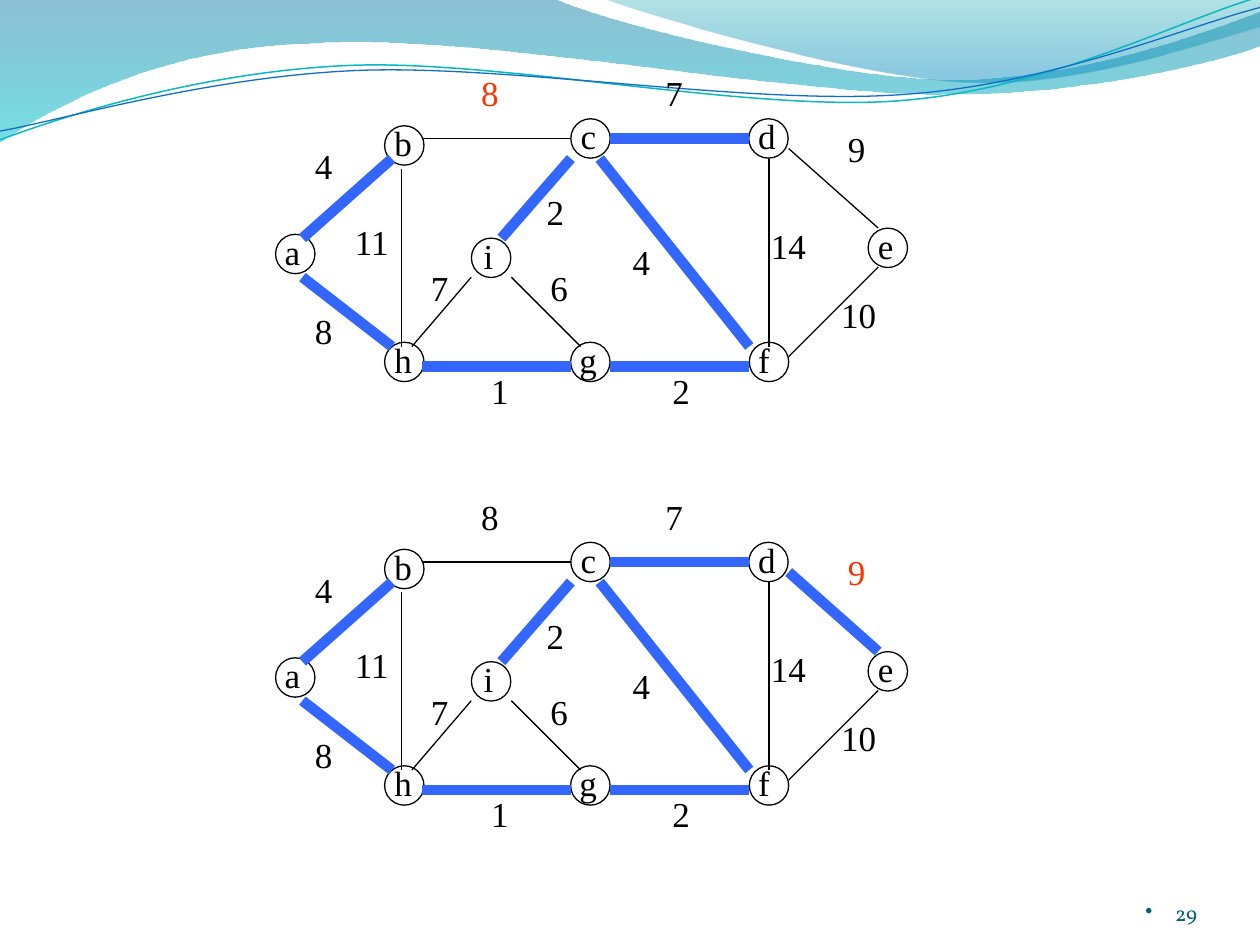
from math import cos, radians, sin

from pptx import Presentation
from pptx.dml.color import RGBColor
from pptx.enum.shapes import MSO_CONNECTOR, MSO_SHAPE
from pptx.enum.text import MSO_ANCHOR, MSO_AUTO_SIZE, PP_ALIGN
from pptx.oxml.xmlchemy import OxmlElement
from pptx.util import Pt

STRAIGHT, OVAL = MSO_CONNECTOR.STRAIGHT, MSO_SHAPE.OVAL
LEFT, RIGHT = PP_ALIGN.LEFT, PP_ALIGN.RIGHT
TOP, BOTTOM = MSO_ANCHOR.TOP, MSO_ANCHOR.BOTTOM
GROW = MSO_AUTO_SIZE.SHAPE_TO_FIT_TEXT

BLACK = RGBColor(0x00, 0x00, 0x00)
BLUE = RGBColor(0x33, 0x66, 0xFF)
RED = RGBColor(0xFF, 0x33, 0x00)
FOOTER = RGBColor(0x04, 0x5D, 0x75)
WAVE_TEAL = RGBColor(0x0A, 0xB8, 0xBF)
WAVE_BLUE = RGBColor(0x0F, 0x6F, 0xC6)
DEEP_BLUE = RGBColor(0x00, 0x74, 0xA1)
CYAN = RGBColor(0x00, 0xC6, 0xCF)
TEAL = RGBColor(0x00, 0xA1, 0xA9)
SKY = RGBColor(0x00, 0x8B, 0xBF)

BANDS = [
    ([(0, 0), (316.8, -0.7), (342.7, 12.2, 478.1, 45.4, 545.8, 45.4),
      (614.2, 45.4, 689.8, 18.7, 720, 6.5), (720.7, 25.9),
      (707.8, 31.7, 626.4, 54.7, 537.1, 54), (447.8, 54, 275, 20.2, 185, 24.5),
      (92.9, 25.9, 33.1, 59.8, -0.7, 81.4)],
     [(0, DEEP_BLUE, 45), (1, CYAN, 55)]),
    ([(344.9, -0.7), (366.5, 7.9, 491, 44.6, 553.7, 46.8),
      (616.3, 49.7, 691.9, 23, 720, 15.1), (720, 0)],
     [(0, TEAL, 30), (0.8, SKY, 45)]),
]
WAVE_TILT = -2.7
WAVES = [
    ([(0, 79.9), (34.6, 67, 113.8, 41, 199.4, 37.4),
      (284.4, 33.8, 427, 64.1, 513.4, 57.6),
      (599.8, 51.1, 675.4, 10.8, 718.6, -1.4)], (359.3, 41.4), WAVE_TEAL, 0.85),
    ([(0, 74.9), (33.8, 69.1, 118.1, 43.9, 203.8, 40.3),
      (290.2, 36.7, 429.8, 60.5, 516.2, 54),
      (601.9, 48.2, 677.5, 15.1, 720, 4.3)], (359.6, 42.5), WAVE_BLUE, 0.75),
]

NODE_SIZE = 22.5
NODES = {
    "a": (2.5, 96.9, 0.5, 23), "b": (64.8, 34.9, 63.2, 24.4),
    "h": (64.8, 158.6, 63.2, 24.4), "c": (171.2, 30.9, 169.7, 23),
    "d": (272.9, 30.9, 271.2, 24.4), "e": (341.1, 93.4, 339.6, 23),
    "f": (273.2, 158.6, 271.2, 21), "g": (171.1, 158.6, 169, 24.4),
    "i": (114.4, 99.1, 114.3, 20.2),
}
EDGES = {
    "ab": (17.8, 99.1, 68.9, 53.7, "4", 17.8, 42.2),
    "ah": (17.8, 121.4, 68.9, 161, "8", 17.8, 136.5),
    "bh": (74.6, 59.3, 74.6, 161, "11", 40.8, 85.4),
    "bc": (86.2, 42.1, 171.2, 42.1, "8", 112.8, 0.4),
    "hg": (86.2, 172.5, 171.2, 172.5, "1", 118.6, 170.4),
    "gf": (193.5, 172.5, 273.2, 172.5, "2", 222.1, 170.4),
    "cf": (187.7, 53.6, 273.2, 161, "4", 199.4, 96.9),
    "cd": (193.5, 42.1, 273.2, 42.1, "7", 218.1, 0.4),
    "df": (284.4, 53.6, 284.4, 161, "14", 278.5, 87.6),
    "de": (295.7, 47.9, 346.8, 93.3, "9", 322.4, 32.1),
    "fe": (295.7, 166.8, 346.8, 115.6, "10", 318.6, 127.1),
    "ig": (137.2, 121.4, 176.8, 161, "6", 152.4, 112),
    "hi": (80.4, 161, 114.3, 121.4, "7", 84.2, 112),
    "ic": (131.5, 99.1, 171.2, 53.6, "2", 150.3, 68.5),
}
TREE = {"ab", "ah", "hg", "gf", "cf", "cd", "ic"}


def add_text(shapes, text, left, top, width, height, font="Times New Roman",
             size=20, color=BLACK, align=LEFT, anchor=TOP, wrap=False, inset=None):
    box = shapes.add_textbox(Pt(left), Pt(top), Pt(width), Pt(height))
    frame = box.text_frame
    frame.word_wrap = wrap
    frame.vertical_anchor = anchor
    if inset is None:
        frame.auto_size = GROW
    else:
        frame.margin_left = frame.margin_right = Pt(inset)
        frame.margin_top = frame.margin_bottom = Pt(inset)
    para = frame.paragraphs[0]
    para.alignment = align
    span = para.add_run()
    span.text = text
    span.font.name, span.font.size = font, Pt(size)
    span.font.color.rgb = color
    return para


def turn(segment, center, degrees):
    cx, cy = center
    c, s = cos(radians(degrees)), sin(radians(degrees))
    turned = []
    for x, y in zip(segment[::2], segment[1::2]):
        turned += [cx + (x - cx) * c - (y - cy) * s,
                   cy + (x - cx) * s + (y - cy) * c]
    return turned


def add_outline(page, segments, closed):
    start, *rest = [[(Pt(x), Pt(y)) for x, y in zip(segment[::2], segment[1::2])]
                    for segment in segments]
    builder = page.shapes.build_freeform(*start[0])
    builder.add_line_segments(sum(rest, []), close=closed)
    shape = builder.convert_to_shape()
    shape.shadow.inherit = False
    strokes = iter(shape.element.xpath(".//a:path/a:lnTo"))
    for points in rest:
        group = [next(strokes) for _ in points]
        if len(group) == 3:
            curve = OxmlElement("a:cubicBezTo")
            group[0].addprevious(curve)
            for stroke in group:
                curve.append(stroke[0])
                stroke.getparent().remove(stroke)
    return shape


def add_header(page):
    for segments, stops in BANDS:
        band = add_outline(page, segments, True)
        band.line.fill.background()
        band.fill.gradient()
        band.fill.gradient_angle = 270
        for stop, (position, color, _) in zip(band.fill.gradient_stops, stops):
            stop.position = position
            stop.color.rgb = color
        colors = band.element.spPr.xpath(".//a:gs/a:srgbClr")
        for node, (_, _, opacity) in zip(colors, stops):
            alpha = OxmlElement("a:alpha")
            alpha.set("val", str(opacity * 1000))
            node.append(alpha)
    for segments, center, color, width in WAVES:
        level = [turn(segment, center, -WAVE_TILT) for segment in segments]
        wave = add_outline(page, level, False)
        wave.rotation = WAVE_TILT
        wave.fill.background()
        wave.line.color.rgb = color
        wave.line.width = Pt(width)


def add_graph(page, left, top, tree, current):
    shapes = page.shapes.add_group_shape().shapes
    for name, (x, y, text_x, width) in NODES.items():
        add_text(shapes, name, left + text_x, top + y - 5.8, width, 31,
                 wrap=name == "i")
        node = shapes.add_shape(OVAL, Pt(left + x), Pt(top + y),
                                Pt(NODE_SIZE), Pt(NODE_SIZE))
        node.shadow.inherit = False
        node.fill.background()
        node.line.color.rgb = BLACK
        node.line.width = Pt(0.75)
    for name, (x1, y1, x2, y2, *_) in EDGES.items():
        edge = shapes.add_connector(STRAIGHT, Pt(left + x1), Pt(top + y1),
                                    Pt(left + x2), Pt(top + y2))
        edge.line.color.rgb = BLUE if name in tree else BLACK
        edge.line.width = Pt(6 if name in tree else 0.75)
        edge.element.spPr.append(OxmlElement("a:effectLst"))
    for name, (*_, weight, x, y) in EDGES.items():
        add_text(shapes, weight, left + x, top + y, 14.4 + 10 * len(weight), 31.5,
                 color=RED if name == current else BLACK)


def add_page_number(page, left, top, width, height):
    para = add_text(page.shapes, "29", left, top, width, height, font="Vollkorn",
                    size=12, color=FOOTER, align=RIGHT, anchor=BOTTOM,
                    wrap=True, inset=0)
    properties = para._p.get_or_add_pPr()
    properties.set("marL", str(Pt(17)))
    properties.set("indent", str(-Pt(17)))
    bullet = OxmlElement("a:buChar")
    bullet.set("char", "•")
    properties.append(bullet)


deck = Presentation()
deck.slide_width, deck.slide_height = Pt(720), Pt(540)
page = deck.slides.add_slide(deck.slide_layouts[6])
add_header(page)
add_graph(page, 155, 279, TREE | {"de"}, "de")
add_graph(page, 155, 37, TREE, "bc")
add_page_number(page, 624, 500.3, 60, 28.8)
deck.save("out.pptx")
